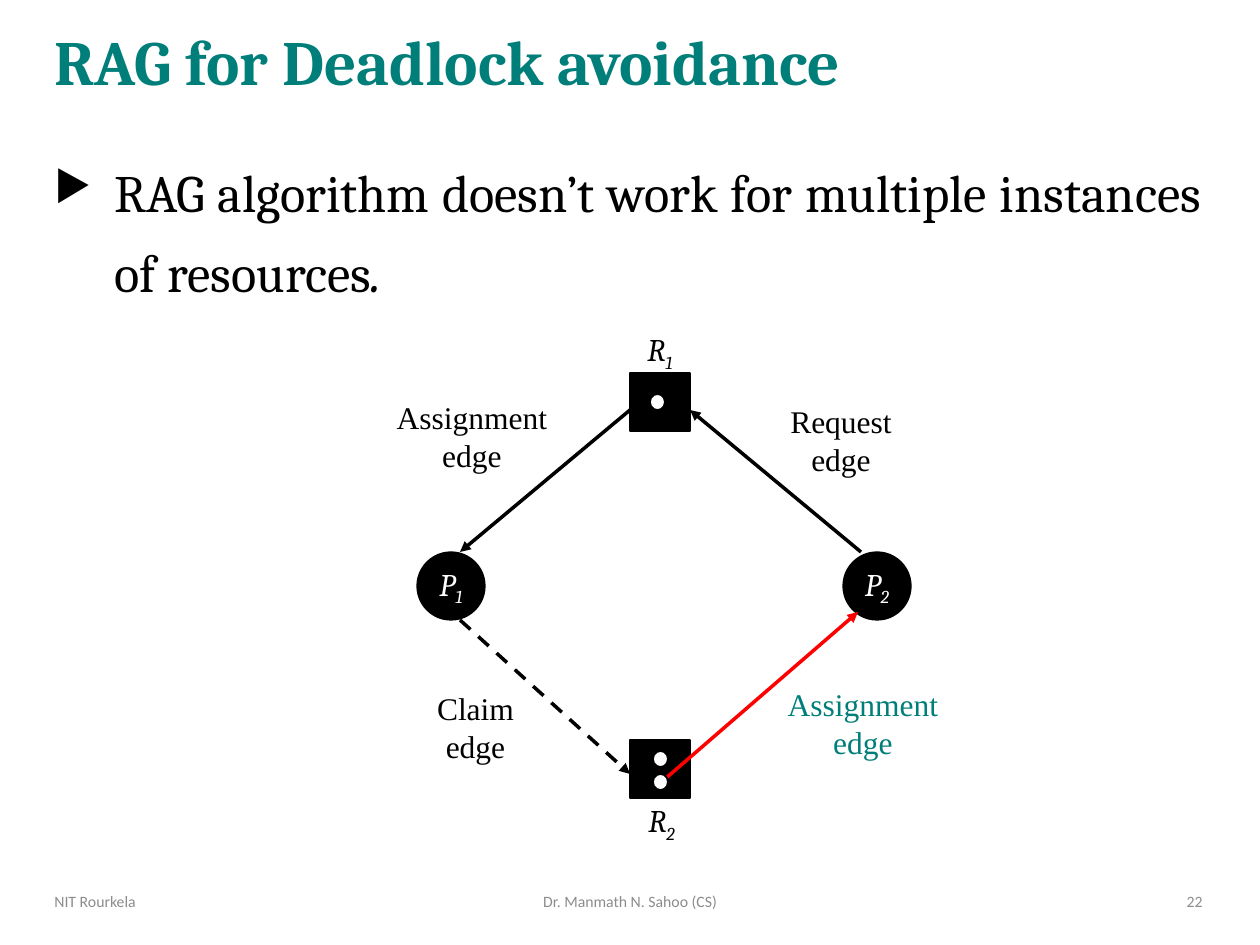
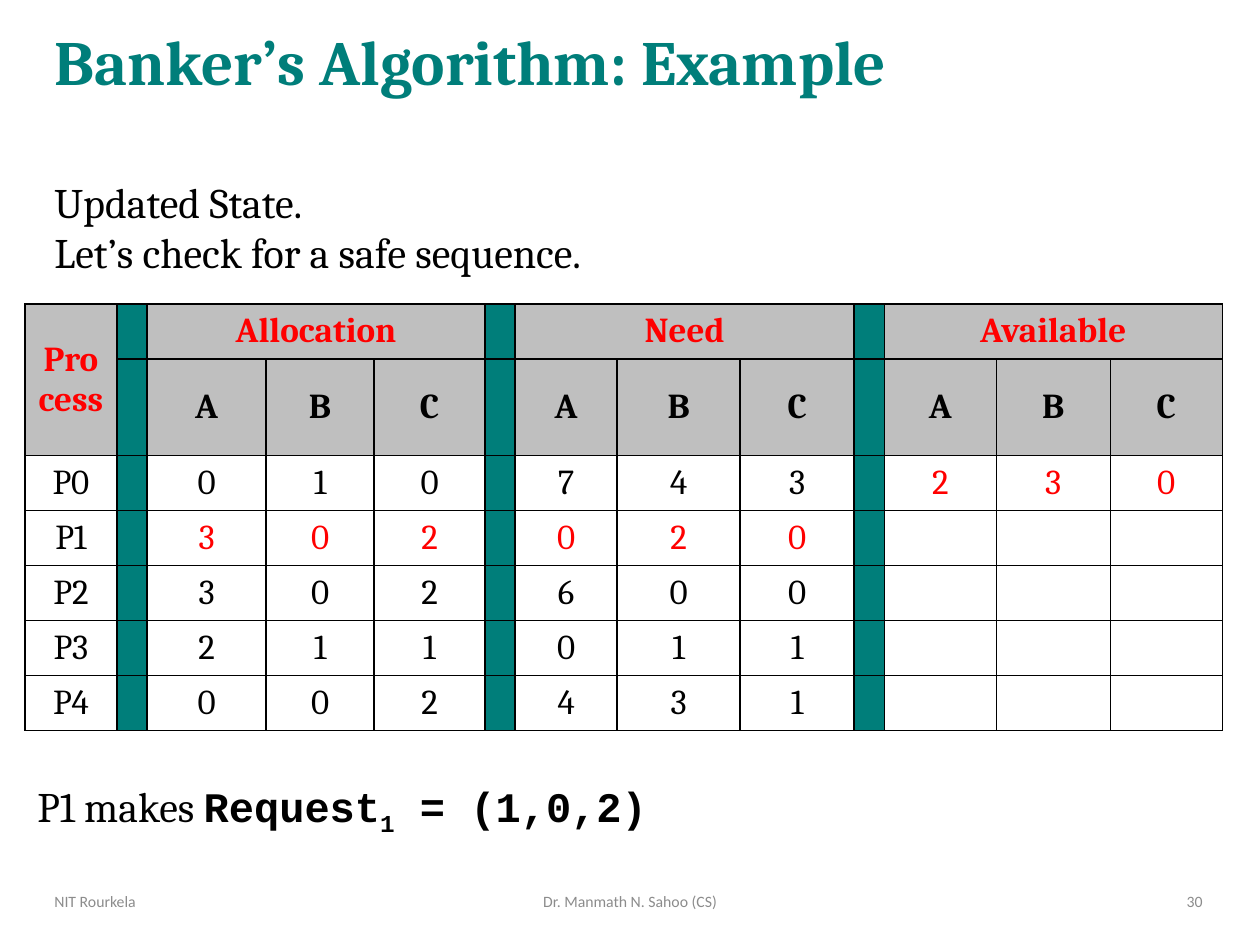
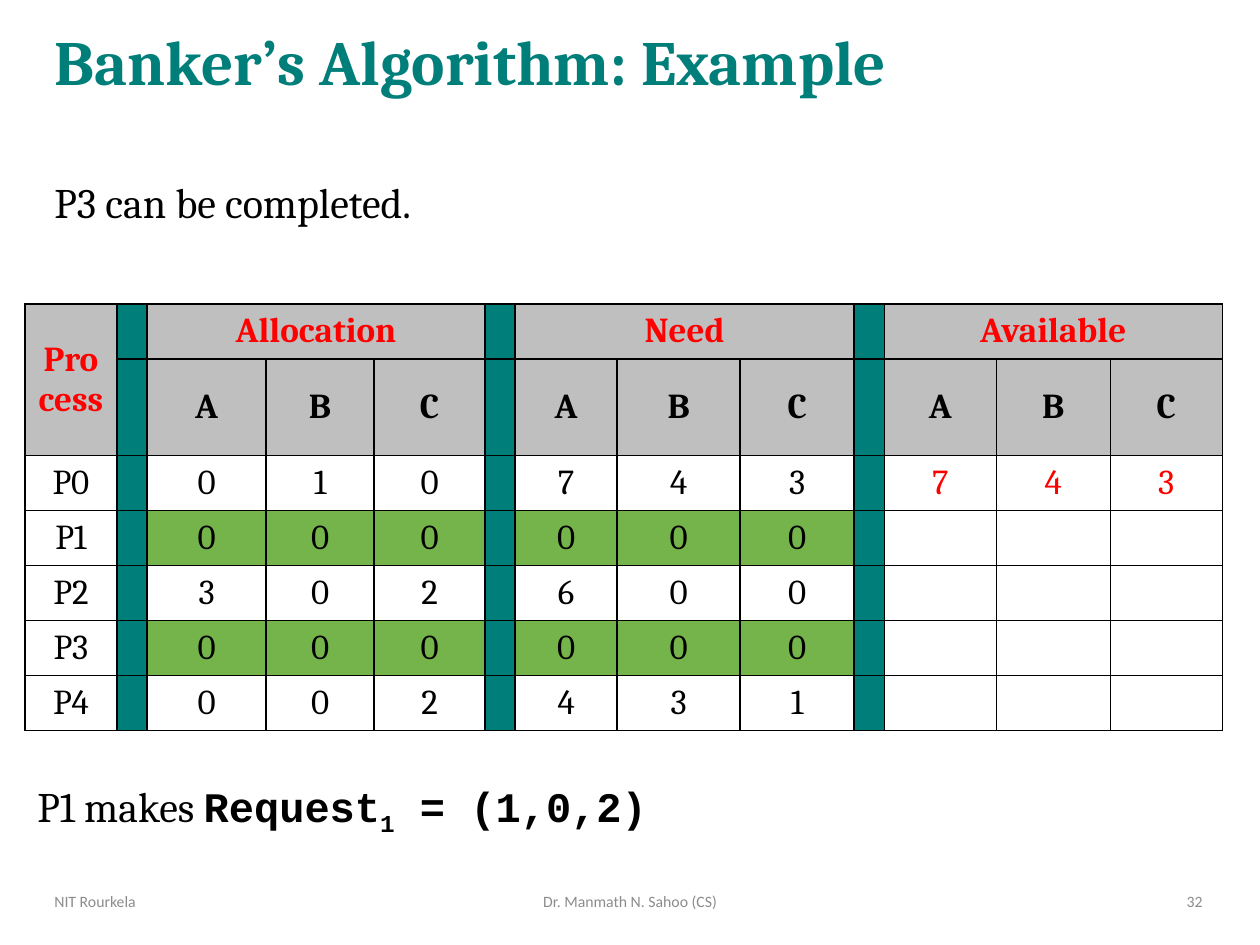
from lxml import etree
from pptx import Presentation
from pptx.dml.color import RGBColor
from pptx.enum.dml import MSO_LINE
from pptx.enum.shapes import MSO_CONNECTOR, MSO_SHAPE
from pptx.enum.text import MSO_ANCHOR, MSO_AUTO_SIZE, PP_ALIGN
from pptx.oxml.ns import qn
from pptx.util import Pt

LEFT, MID, RIGHT, JUST = PP_ALIGN.LEFT, PP_ALIGN.CENTER, PP_ALIGN.RIGHT, PP_ALIGN.JUSTIFY
TOP, CENTER = MSO_ANCHOR.TOP, MSO_ANCHOR.MIDDLE
RECT, OVAL = MSO_SHAPE.RECTANGLE, MSO_SHAPE.OVAL
GROW, STRAIGHT, DASH = MSO_AUTO_SIZE.SHAPE_TO_FIT_TEXT, MSO_CONNECTOR.STRAIGHT, MSO_LINE.DASH

TEAL, RED, GREEN, GRAY = "007E7A", "FF0000", "75B44A", "BFBFBF"
BLACK, WHITE, FAINT = "000000", "FFFFFF", "8C8C8C"
SERIF, SANS, MONO, ROMAN = "Cambria", "Calibri", "Courier New", "Times New Roman"
SCALE = 914400 / 126

# Content shared by all slides: text, left, width, alignment
FOOT = [("NIT Rourkela", 42, 328, LEFT),
        ("Dr. Manmath N. Sahoo (CS)", 417, 426, MID)]
PAGE = (916, 299, RIGHT)

# Resource allocation graph
CLAIM = [("RAG algorithm doesn’t work for multiple instances of resources", {}),
         (".", {"size": 32, "italic": True})]
PROCS = [("1", 417), ("2", 843)]
BOXES = [373, 740]
EDGES = [((861, 552), (690, 410), BLACK, False),
         ((630, 410), (460, 552), BLACK, False),
         ((460, 620), (630, 774), BLACK, True),
         ((665, 779), (858, 612), RED, False)]
NOTES = [("Assignment", (359, 392, 226, 107), BLACK),
         ("Request", (761, 396, 160, 107), BLACK),
         ("Claim", (415, 683, 121, 103), BLACK),
         ("Assignment", (750, 679, 226, 107), TEAL)]
DOTS = [(650, 394), (653, 751), (653, 774)]
NAMES = [("2", 636, 795), ("1", 635, 324)]

# Banker's tables: process, allocation, need, available
HEADS = ["Allocation", "Need", "Available"]
COLS = [92, 30, 119, 108, 111, 30, 102, 123, 114, 30, 112, 114, 112]
ROWS = [55, 94, 55, 55, 55, 55, 55]
ASK = [("P1 makes ", {}), ("Request", {"font": MONO, "bold": True}),
       ("1", {"font": MONO, "bold": True, "base": -25}),
       (" = (1,0,2)", {"font": MONO, "bold": True})]
STATES = [
    {"page": "30", "lead": ["Updated State.", "Let’s check for a safe sequence."],
     "high": 115, "changed": ["P1"], "done": [],
     "rows": [("P0", "010", "743", "230"), ("P1", "302", "020", ""),
              ("P2", "302", "600", ""), ("P3", "211", "011", ""),
              ("P4", "002", "431", "")]},
    {"page": "32", "lead": ["P3 can be completed."],
     "high": 63, "changed": [], "done": ["P1", "P3"],
     "rows": [("P0", "010", "743", "743"), ("P1", "000", "000", ""),
              ("P2", "302", "600", ""), ("P3", "000", "000", ""),
              ("P4", "002", "431", "")]},
]


def px(num):
    return round(num * SCALE)


def rgb(code):
    return RGBColor.from_string(code)


def style(run, size=18, font=SERIF, color=BLACK, bold=False, italic=False, base=0):
    face = run.font
    face.size, face.name, face.bold, face.italic = Pt(size), font, bold, italic
    face.color.rgb = rgb(color)
    if base:
        run._r.get_or_add_rPr().set("baseline", str(base * 1000))


def write(frame, paras, align=LEFT, space=None, after=None, bullet=None, **look):
    """Fill a frame; each paragraph is a string or a list of (text, format)."""
    for num, runs in enumerate(paras):
        para = frame.add_paragraph() if num else frame.paragraphs[0]
        para.alignment = align
        if space:
            para.line_spacing = space
        if after:
            para.space_after = Pt(after)
        if bullet:
            props = para._p.get_or_add_pPr()
            props.set("marL", str(px(60)))
            props.set("indent", str(px(-60)))
            etree.SubElement(props, qn("a:buSzPct"), val="80000")
            etree.SubElement(props, qn("a:buChar"), char=bullet)
        for text, extra in [(runs, {})] if isinstance(runs, str) else runs:
            run = para.add_run()
            run.text = text
            style(run, **{**look, **extra})


def label(slide, area, paras, anchor=TOP, wrap=True, grow=False, **look):
    frame = slide.shapes.add_textbox(*map(px, area)).text_frame
    frame.word_wrap, frame.vertical_anchor = wrap, anchor
    if grow:
        frame.auto_size = GROW
    write(frame, paras, **look)


def shape(slide, kind, area, fill, width=0.75):
    part = slide.shapes.add_shape(kind, *map(px, area))
    part.shadow.inherit = False
    part.fill.solid()
    part.fill.fore_color.rgb = rgb(fill)
    part.line.color.rgb = rgb(BLACK)
    part.line.width = Pt(width)
    return part


def arrow(slide, start, end, color, dash):
    link = slide.shapes.add_connector(STRAIGHT, *map(px, start + end))
    link.line.color.rgb = rgb(color)
    link.line.width = Pt(2)
    if dash:
        link.line.dash_style = DASH
    etree.SubElement(link.line._get_or_add_ln(), qn("a:tailEnd"), type="triangle")
    etree.SubElement(link._element.spPr, qn("a:effectLst"))


def index(letter, num):
    return [[(letter, {}), (num, {"base": -25})]]


def start(deck, title, page):
    slide = deck.slides.add_slide(deck.slide_layouts[6])
    label(slide, (42, 5, 1172, 121), [title], anchor=CENTER, space=0.9,
          size=36, color=TEAL, bold=True)
    for text, left, width, align in FOOT + [(page, *PAGE)]:
        label(slide, (left, 876, width, 50), [text], anchor=CENTER, align=align,
              size=9, font=SANS, color=FAINT)
    return slide


def graph(deck):
    slide = start(deck, "RAG for Deadlock avoidance", "22")
    label(slide, (42, 141, 1172, 711), [CLAIM], align=JUST, space=1.2, after=10,
          bullet="▶", size=30)
    # Nodes
    for num, left in PROCS:
        frame = shape(slide, OVAL, (left, 552, 68, 68), BLACK).text_frame
        frame.word_wrap, frame.vertical_anchor = False, CENTER
        write(frame, index("P", num), align=MID, color=WHITE, italic=True)
    for top in BOXES:
        shape(slide, RECT, (630, top, 60, 58), BLACK)
    # Edges and their names
    for edge in EDGES:
        arrow(slide, *edge)
    for word, area, color in NOTES:
        label(slide, area, [word, "edge"], wrap=False, align=MID, font=ROMAN, color=color)
    # Resource instances
    for left, top in DOTS:
        shape(slide, OVAL, (left, top, 15, 16), WHITE, 1)
    for num, left, top in NAMES:
        label(slide, (left, top, 55, 50), index("R", num), wrap=False, grow=True, italic=True)


def paint(cell, fill):
    props = cell._tc.get_or_add_tcPr()
    for side in ("lnL", "lnR", "lnT", "lnB"):
        line = etree.SubElement(props, qn("a:" + side), w="12700")
        solid = etree.SubElement(line, qn("a:solidFill"))
        etree.SubElement(solid, qn("a:srgbClr"), val=BLACK)
    if fill:
        cell.fill.solid()
        cell.fill.fore_color.rgb = rgb(fill)
    else:
        cell.fill.background()


def put(cell, text, **look):
    cell.vertical_anchor = CENTER
    write(cell.text_frame, [text], align=MID, size=20, **look)


def matrix(slide, state):
    grid = slide.shapes.add_table(len(ROWS), len(COLS), px(25), px(304),
                                  px(sum(COLS)), px(sum(ROWS))).table
    grid.first_row = grid.horz_banding = False
    for num, width in enumerate(COLS):
        grid.columns[num].width = px(width)
    for num, height in enumerate(ROWS):
        grid.rows[num].height = px(height)
    # Fills: teal gaps, gray heads, green finished rows
    for row in range(len(ROWS)):
        for col in range(len(COLS)):
            done = row > 1 and state["rows"][row - 2][0] in state["done"]
            fill = GRAY if row < 2 else GREEN if done and 0 < col < 9 else None
            paint(grid.cell(row, col), TEAL if col % 4 == 1 else fill)
    # Heads
    grid.cell(0, 0).merge(grid.cell(1, 0))
    put(grid.cell(0, 0), "Process", color=RED, bold=True)
    for part, head in enumerate(HEADS):
        left = 2 + 4 * part
        grid.cell(0, left).merge(grid.cell(0, left + 2))
        put(grid.cell(0, left), head, color=RED, bold=True)
        for step, kind in enumerate("ABC"):
            put(grid.cell(1, left + step), kind, bold=True)
    # Values
    for row, (name, *parts) in enumerate(state["rows"], 2):
        put(grid.cell(row, 0), name)
        for part, digits in enumerate(parts):
            color = RED if part == 2 or name in state["changed"] else BLACK
            for step, digit in enumerate(digits):
                put(grid.cell(row, 2 + 4 * part + step), digit, color=color)


def banker(deck, state):
    slide = start(deck, "Banker’s Algorithm: Example", state["page"])
    matrix(slide, state)
    label(slide, (42, 170, 1179, state["high"]), state["lead"], grow=True, size=24)
    label(slide, (25, 774, 1179, 63), [ASK], grow=True, size=24)


def main():
    deck = Presentation()
    deck.slide_width, deck.slide_height = px(1260), px(945)
    graph(deck)
    for state in STATES:
        banker(deck, state)
    deck.save("out.pptx")


if __name__ == "__main__":
    main()
